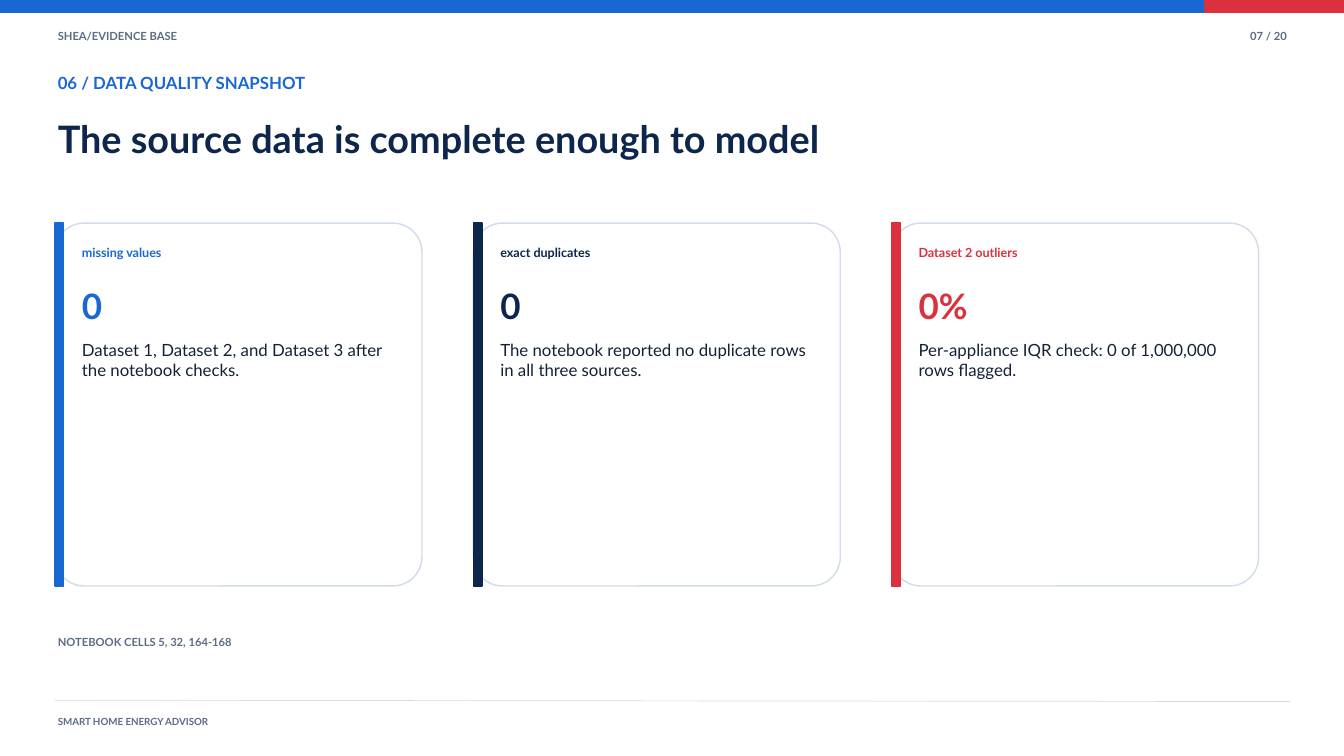
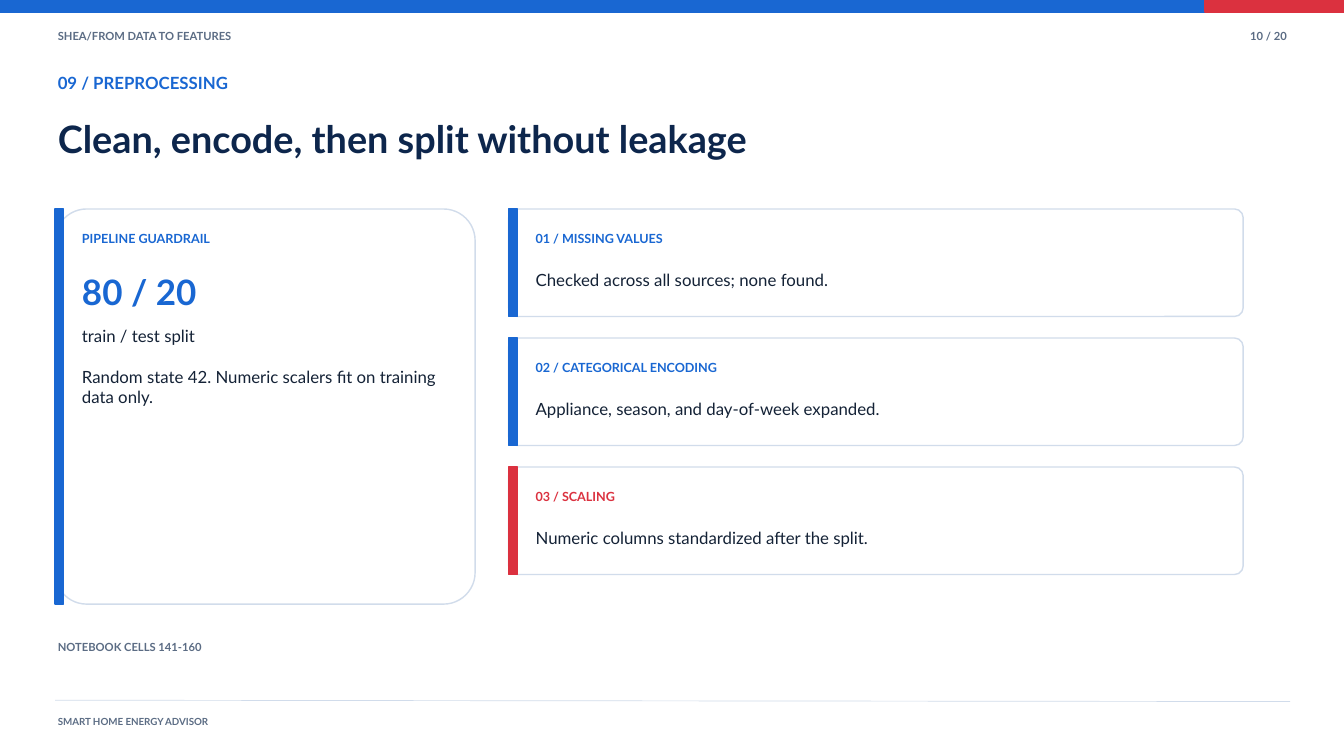
from dataclasses import dataclass

import pptx
import pptx.dml.color
import pptx.enum.shapes
import pptx.enum.text
import pptx.oxml
import pptx.util

Inches = pptx.util.Inches
Pt = pptx.util.Pt
Shape = pptx.enum.shapes.MSO_SHAPE
Align = pptx.enum.text.PP_ALIGN


@dataclass(frozen=True)
class Theme:
    font: str = "Lato"
    blue: str = "1967D2"
    navy: str = "0D264C"
    red: str = "DB313F"
    ink: str = "142236"
    muted: str = "5B6C84"
    rule: str = "D1DCEB"
    white: str = "FFFFFF"
    title: float = 40.5
    metric: float = 37.5
    body: float = 18
    label: float = 13.5
    note: float = 12
    footer: float = 10.5
    leading: float = 1.2
    edge: float = 1.5
    hairline: float = 0.75
    rounding: float = 0.08


@dataclass(frozen=True)
class Box:
    left: float
    top: float
    width: float
    height: float

    def emu(self) -> list:
        return [Inches(v) for v in (self.left, self.top, self.width, self.height)]


@dataclass(frozen=True)
class Card:
    label: str
    body: tuple
    color: str
    metric: str = ""


@dataclass(frozen=True)
class Frame:
    section: str
    page: str
    kicker: str
    title: str
    note: str
    note_top: float


T = Theme()
LEFT = 0.82        # edge of cards and footer rule
TEXT_LEFT = 0.86   # edge of running text


def rgb(color: str):
    return pptx.dml.color.RGBColor.from_string(color)


def spread(start: float, end: float, size: float, count: int) -> list:
    """Starts of equal items that fill a span with equal gaps."""
    step = (end - start - size) / (count - 1)
    return [start + i * step for i in range(count)]


# Basic parts
def add_text(slide, box: Box, *lines: str, size: float, color: str, bold: bool = True,
             align=Align.LEFT, sp=None):
    sp = sp or slide.shapes.add_textbox(*box.emu())
    sp.left, sp.top, sp.width, sp.height = box.emu()
    tf = sp.text_frame
    tf.margin_left = tf.margin_top = tf.margin_right = tf.margin_bottom = 0
    tf.word_wrap = True
    tf.auto_size = pptx.enum.text.MSO_AUTO_SIZE.SHAPE_TO_FIT_TEXT
    tf.vertical_anchor = pptx.enum.text.MSO_ANCHOR.TOP
    for i, line in enumerate(lines):
        p = tf.add_paragraph() if i else tf.paragraphs[0]
        p.alignment = align
        p.line_spacing = Pt(size * T.leading)
        p.space_before = Pt(size * T.leading if i else 0)
        r = p.add_run()
        r.text = line
        r.font.name, r.font.size, r.font.bold = T.font, Pt(size), bold
        r.font.color.rgb = rgb(color)
    return sp


def add_block(slide, kind, box: Box, fill: str, line: str):
    sp = slide.shapes.add_shape(kind, *box.emu())
    sp.shadow.inherit = False
    sp.fill.solid()
    sp.fill.fore_color.rgb = rgb(fill)
    sp.line.color.rgb = rgb(line)
    sp.line.width = Pt(T.edge)
    return sp


def add_card(slide, box: Box, card: Card) -> None:
    sp = add_block(slide, Shape.ROUNDED_RECTANGLE, box, T.white, T.rule)
    sp.adjustments[0] = T.rounding
    bar = Box(box.left, box.top, 0.13, box.height)
    add_block(slide, Shape.RECTANGLE, bar, card.color, card.color)

    def row(offset: float, height: float) -> Box:
        return Box(box.left + 0.4, box.top + offset, box.width - 0.72, height)

    add_text(slide, row(0.33, 0.28), card.label, size=T.label, color=card.color)
    body_offset = 0.91
    if card.metric:
        add_text(slide, row(0.91, 0.66), card.metric, size=T.metric, color=card.color)
        body_offset = 1.74
    add_text(slide, row(body_offset, box.height - body_offset - 0.31), *card.body,
             size=T.body, color=T.ink, bold=False)


# Top band, header, title, footer and source note
def add_frame(prs, frame: Frame):
    slide = prs.slides.add_slide(prs.slide_layouts[5])
    add_block(slide, Shape.RECTANGLE, Box(-0.01, -0.01, 20.04, 0.19), T.blue, T.blue)
    add_block(slide, Shape.RECTANGLE, Box(17.93, -0.01, 2.1, 0.19), T.red, T.red)
    add_text(slide, Box(TEXT_LEFT, 0.44, 11.95, 0.3), frame.section, size=T.note, color=T.muted)
    add_text(slide, Box(17.71, 0.44, 1.44, 0.3), frame.page, size=T.note, color=T.muted,
             align=Align.RIGHT)
    add_text(slide, Box(TEXT_LEFT, 1.08, 18.03, 0.47), frame.kicker, size=T.body, color=T.blue)
    add_text(slide, Box(TEXT_LEFT, 1.72, 18.03, 1.16), frame.title, size=T.title, color=T.navy,
             sp=slide.shapes.title)
    rule = slide.shapes.add_connector(
        pptx.enum.shapes.MSO_CONNECTOR.STRAIGHT,
        Inches(LEFT), Inches(10.42), Inches(19.2), Inches(10.44))
    rule.line.color.rgb = rgb(T.rule)
    rule.line.width = Pt(T.hairline)
    rule._element.spPr.append(pptx.oxml.parse_xml(
        '<a:effectLst xmlns:a="http://schemas.openxmlformats.org/drawingml/2006/main"/>'))
    add_text(slide, Box(TEXT_LEFT, 10.65, 5.94, 0.22), "SMART HOME ENERGY ADVISOR",
             size=T.footer, color=T.muted)
    add_text(slide, Box(TEXT_LEFT, frame.note_top, 11.95, 0.24), frame.note,
             size=T.note, color=T.muted)
    return slide


# Slide: three data quality cards
def build_quality(prs) -> None:
    slide = add_frame(prs, Frame(
        "SHEA/EVIDENCE BASE", "07 / 20", "06 / DATA QUALITY SNAPSHOT",
        "The source data is complete enough to model",
        "NOTEBOOK CELLS 5, 32, 164-168", 9.46))
    checks = (
        Card("missing values",
             ("Dataset 1, Dataset 2, and Dataset 3 after the notebook checks.",), T.blue, "0"),
        Card("exact duplicates",
             ("The notebook reported no duplicate rows in all three sources.",), T.navy, "0"),
        Card("Dataset 2 outliers",
             ("Per-appliance IQR check: 0 of 1,000,000 rows flagged.",), T.red, "0%"),
    )
    width = 5.46
    for left, check in zip(spread(LEFT, 18.73, width, len(checks)), checks):
        add_card(slide, Box(left, 3.32, width, 5.4), check)


# Slide: split guardrail beside the preprocessing steps
def build_preprocessing(prs) -> None:
    slide = add_frame(prs, Frame(
        "SHEA/FROM DATA TO FEATURES", "10 / 20", "09 / PREPROCESSING",
        "Clean, encode, then split without leakage",
        "NOTEBOOK CELLS 141-160", 9.53))
    top = 3.11
    add_card(slide, Box(LEFT, top, 6.25, 5.88), Card(
        "PIPELINE GUARDRAIL",
        ("train / test split", "Random state 42. Numeric scalers fit on training data only."),
        T.blue, "80 / 20"))
    steps = (
        Card("01 / MISSING VALUES", ("Checked across all sources; none found.",), T.blue),
        Card("02 / CATEGORICAL ENCODING",
             ("Appliance, season, and day-of-week expanded.",), T.blue),
        Card("03 / SCALING", ("Numeric columns standardized after the split.",), T.red),
    )
    height = 1.6
    for step_top, step in zip(spread(top, 8.55, height, len(steps)), steps):
        add_card(slide, Box(7.57, step_top, 10.93, height), step)


def main() -> None:
    prs = pptx.Presentation()
    prs.slide_width, prs.slide_height = Inches(20), Inches(11.25)
    build_quality(prs)
    build_preprocessing(prs)
    prs.save("out.pptx")


if __name__ == "__main__":
    main()
